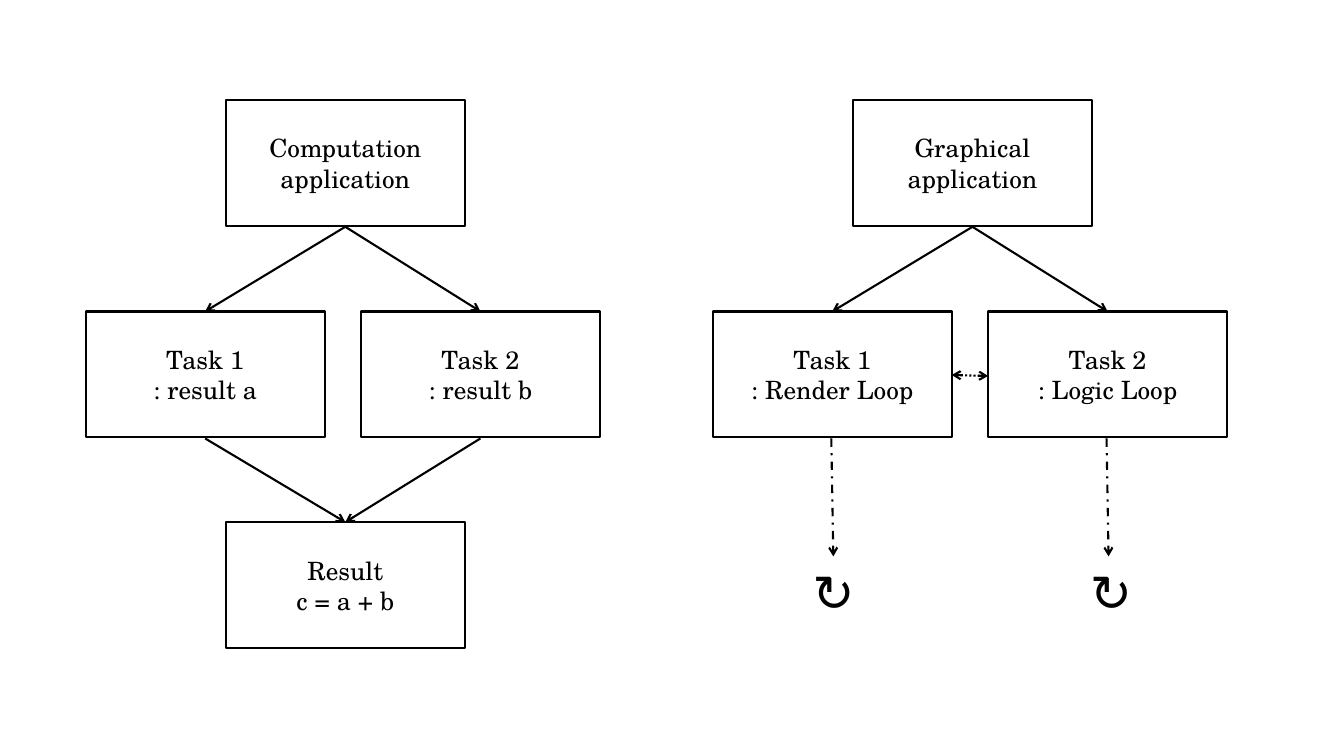
from lxml import etree
from pptx import Presentation
from pptx.dml.color import RGBColor
from pptx.enum.dml import MSO_LINE
from pptx.enum.shapes import MSO_CONNECTOR, MSO_SHAPE
from pptx.enum.text import MSO_ANCHOR, PP_ALIGN
from pptx.oxml.ns import qn
from pptx.util import Inches, Pt

RECTANGLE = MSO_SHAPE.RECTANGLE
STRAIGHT = MSO_CONNECTOR.STRAIGHT
DASH_DOT = MSO_LINE.DASH_DOT
DOTTED = MSO_LINE.ROUND_DOT
LEFT, CENTER = PP_ALIGN.LEFT, PP_ALIGN.CENTER
TOP, MIDDLE = MSO_ANCHOR.TOP, MSO_ANCHOR.MIDDLE

COLORS = {"ink": "000000", "paper": "FFFFFF"}
INK = RGBColor.from_string(COLORS["ink"])
PAPER = RGBColor.from_string(COLORS["paper"])

# Layout in inches
BOX_WIDTH, BOX_HEIGHT = 2.37, 1.25
APPLICATION_TOP, TASK_TOP, RESULT_TOP = 0.99, 3.09, 5.18
APPLICATION_BOTTOM = 2.25
TASK_BOTTOM = 4.35
APPLICATION_OFFSET = 1.39
TASK_STEP = 2.73
LOOP_TOP = 5.52

presentation = Presentation()
presentation.slide_width = Inches(13.33)
presentation.slide_height = Inches(7.5)
slide = presentation.slides.add_slide(presentation.slide_layouts[6])


def add_text(text, left, top, width, height, boxed=True, font="TeX Gyre Schola",
             size=18, align=CENTER, anchor=MIDDLE):
    position = [Inches(value) for value in (left, top, width, height)]
    if boxed:
        shape = slide.shapes.add_shape(RECTANGLE, *position)
        shape.shadow.inherit = False
        shape.fill.solid()
        shape.fill.fore_color.rgb = PAPER
        shape.line.color.rgb = INK
        shape.line.width = Pt(1.5)
    else:
        shape = slide.shapes.add_textbox(*position)
    frame = shape.text_frame
    frame.word_wrap = True
    frame.vertical_anchor = anchor
    frame.text = text
    for paragraph in frame.paragraphs:
        paragraph.alignment = align
        paragraph.font.name = font
        paragraph.font.size = Pt(size)
        paragraph.font.color.rgb = INK


def add_arrow(start, end, dash=None, ends=("tailEnd",)):
    connector = slide.shapes.add_connector(
        STRAIGHT, *[Inches(value) for value in (*start, *end)])
    connector.line.color.rgb = INK
    connector.line.width = Pt(1.5)
    if dash is not None:
        connector.line.dash_style = dash
    properties = connector._element.spPr
    outline = properties.find(qn("a:ln"))
    for name in ends:
        etree.SubElement(outline, qn(f"a:{name}"), type="arrow")
    etree.SubElement(properties, qn("a:effectLst"))


# Both diagrams: an application that splits into two tasks
diagrams = [
    (0.85, "Computation\napplication", ["Task 1\n: result a", "Task 2\n: result b"]),
    (7.07, "Graphical\napplication", ["Task 1\n: Render Loop", "Task 2\n: Logic Loop"]),
]
centers = []
for left, application, tasks in diagrams:
    application_left = left + APPLICATION_OFFSET
    application_center = application_left + BOX_WIDTH / 2
    add_text(application, application_left, APPLICATION_TOP, BOX_WIDTH, BOX_HEIGHT)
    task_centers = []
    for index, task in enumerate(tasks):
        task_left = left + index * TASK_STEP
        task_center = task_left + BOX_WIDTH / 2
        add_text(task, task_left, TASK_TOP, BOX_WIDTH, BOX_HEIGHT)
        add_arrow((application_center, APPLICATION_BOTTOM), (task_center, TASK_TOP))
        task_centers.append(task_center)
    centers.append((application_center, task_centers))

# Computation: both tasks join in one result
result_center, computation_tasks = centers[0]
add_text("Result\nc = a + b", result_center - BOX_WIDTH / 2, RESULT_TOP,
         BOX_WIDTH, BOX_HEIGHT)
for task_center in computation_tasks:
    add_arrow((task_center, TASK_BOTTOM), (result_center, RESULT_TOP))

# Graphical: each task runs in its own loop
graphical_tasks = centers[1][1]
for task_center, loop_left in zip(graphical_tasks, (7.96, 10.71)):
    add_text("↻", loop_left, LOOP_TOP, 0.58, 0.58, boxed=False, font="Calibri",
             size=36, align=LEFT, anchor=TOP)
    add_arrow((task_center - 0.01, TASK_BOTTOM), (task_center + 0.01, LOOP_TOP), DASH_DOT)

# Graphical: the two tasks exchange data
render_right = graphical_tasks[0] + BOX_WIDTH / 2
logic_left = graphical_tasks[1] - BOX_WIDTH / 2
add_arrow((render_right, 3.72), (logic_left, 3.73), DOTTED, ("headEnd", "tailEnd"))

presentation.save("out.pptx")
